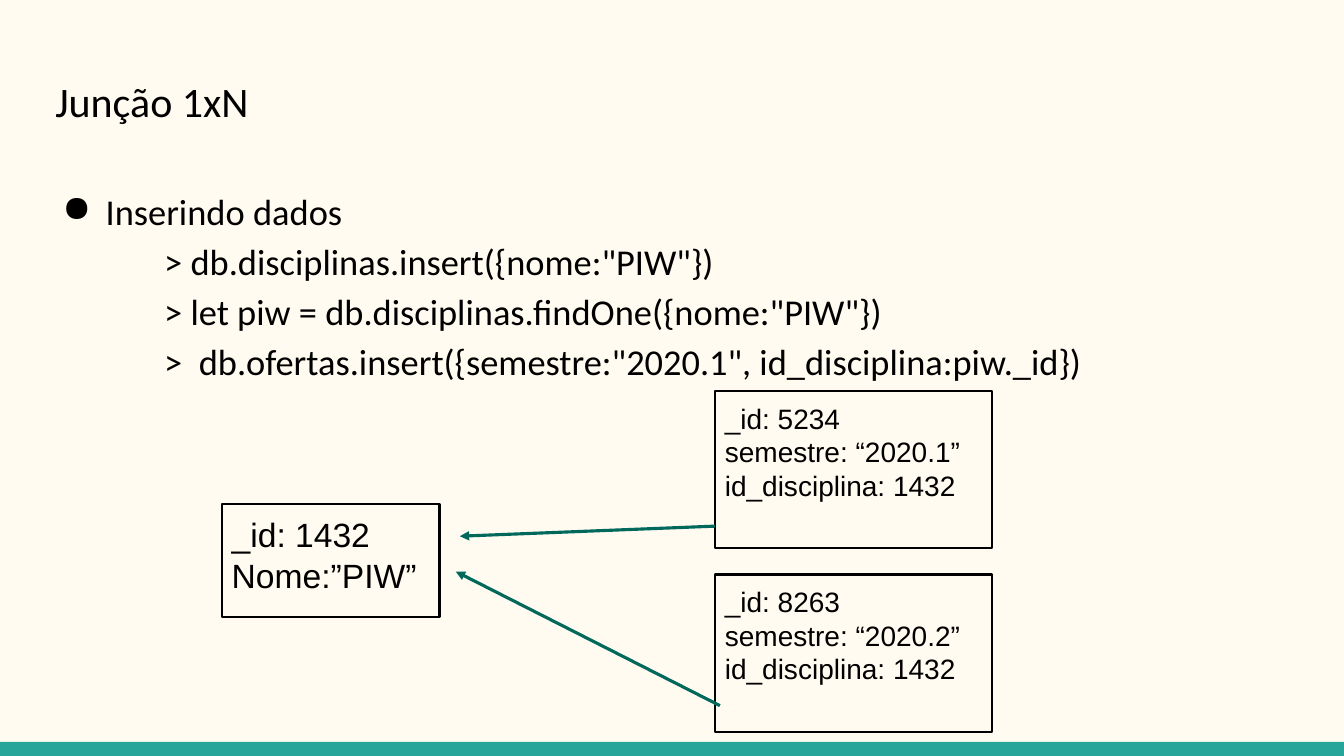
from lxml import etree
from pptx import Presentation, util as u
from pptx.dml.color import RGBColor
from pptx.enum import shapes, text
from pptx.oxml import ns

WIDE, HIGH = 13.33, 7.5
HUES = {"paper": "FFFBF0", "band": "26A69A", "ink": "000000", "arrow": "00695C"}
EDGE, SPAN = 0.45, 12.42

deck = Presentation()
deck.slide_width, deck.slide_height = u.Inches(WIDE), u.Inches(HIGH)
slide = deck.slides.add_slide(deck.slide_layouts[6])
slide.background.fill.solid()
slide.background.fill.fore_color.rgb = RGBColor.from_string(HUES["paper"])


def write(shape, lines, size, font):
    """Fill a shape with left-aligned lines and return its paragraphs."""
    frame = shape.text_frame
    frame.word_wrap = True
    frame.vertical_anchor = text.MSO_ANCHOR.TOP
    frame.margin_left = frame.margin_right = u.Inches(0.1)
    frame.margin_top = frame.margin_bottom = u.Inches(0.1)
    frame.text = "\n".join(lines)
    for para in frame.paragraphs:
        para.alignment = text.PP_ALIGN.LEFT
        para.font.size, para.font.name = u.Pt(size), font
        para.font.color.rgb = RGBColor.from_string(HUES["ink"])
    return frame.paragraphs


def block(*spot):
    """Add a plain rectangle at left, top, width, height in inches."""
    shape = slide.shapes.add_shape(shapes.MSO_SHAPE.RECTANGLE, *map(u.Inches, spot))
    shape.shadow.inherit = False
    return shape


# Band along the foot
band = block(0, 7.36, WIDE, HIGH - 7.36)
band.fill.solid()
band.fill.fore_color.rgb = RGBColor.from_string(HUES["band"])
band.line.fill.background()

# Title and commands
title = slide.shapes.add_textbox(*map(u.Inches, (EDGE, 0.65, SPAN, 0.89)))
write(title, ["Junção 1xN"], 30, "Calibri")

body = slide.shapes.add_textbox(*map(u.Inches, (EDGE, 1.71, SPAN, 4.95)))
paras = write(body, [
    "Inserindo dados",
    '> db.disciplinas.insert({nome:"PIW"})',
    '> let piw = db.disciplinas.findOne({nome:"PIW"})',
    '>  db.ofertas.insert({semestre:"2020.1", id_disciplina:piw._id})',
], 26, "Calibri")
for row, para in enumerate(paras):
    para.line_spacing = 1.15
    props = para._p.get_or_add_pPr()
    props.set("marL", str(u.Inches(1.08 if row else 0.5)))
    props.set("indent", str(u.Inches(0 if row else -0.43)))
    if row == 0:
        hue = etree.SubElement(props, ns.qn("a:buClr"))
        etree.SubElement(hue, ns.qn("a:srgbClr")).set("val", HUES["ink"])
        etree.SubElement(props, ns.qn("a:buChar")).set("char", "●")

# Documents: one course, two offers that point to it
offers = [(3.88, "5234", "2020.1"), (5.7, "8263", "2020.2")]
cards = [((2.2, 5, 2.16, 1.12), ["_id: 1432", "Nome:”PIW”"], 24)]
for top, key, term in offers:
    lines = [f"_id: {key}", f"semestre: “{term}”", "id_disciplina: 1432"]
    cards.append(((7.09, top, 2.75, 1.56), lines, 20))
for spot, lines, size in cards:
    card = block(*spot)
    card.fill.background()
    card.line.color.rgb = RGBColor.from_string(HUES["ink"])
    card.line.width = u.Pt(1.5)
    write(card, lines, size, "Arial")

for ends in [(7.09, 5.22, 4.56, 5.32), (7.14, 7, 4.52, 5.67)]:
    link = slide.shapes.add_connector(
        shapes.MSO_CONNECTOR.STRAIGHT, *map(u.Inches, ends))
    link.line.color.rgb = RGBColor.from_string(HUES["arrow"])
    link.line.width = u.Pt(2.25)
    etree.SubElement(link.line._get_or_add_ln(), ns.qn("a:tailEnd")).set("type", "triangle")
    etree.SubElement(link._element.spPr, ns.qn("a:effectLst"))

deck.save("out.pptx")
